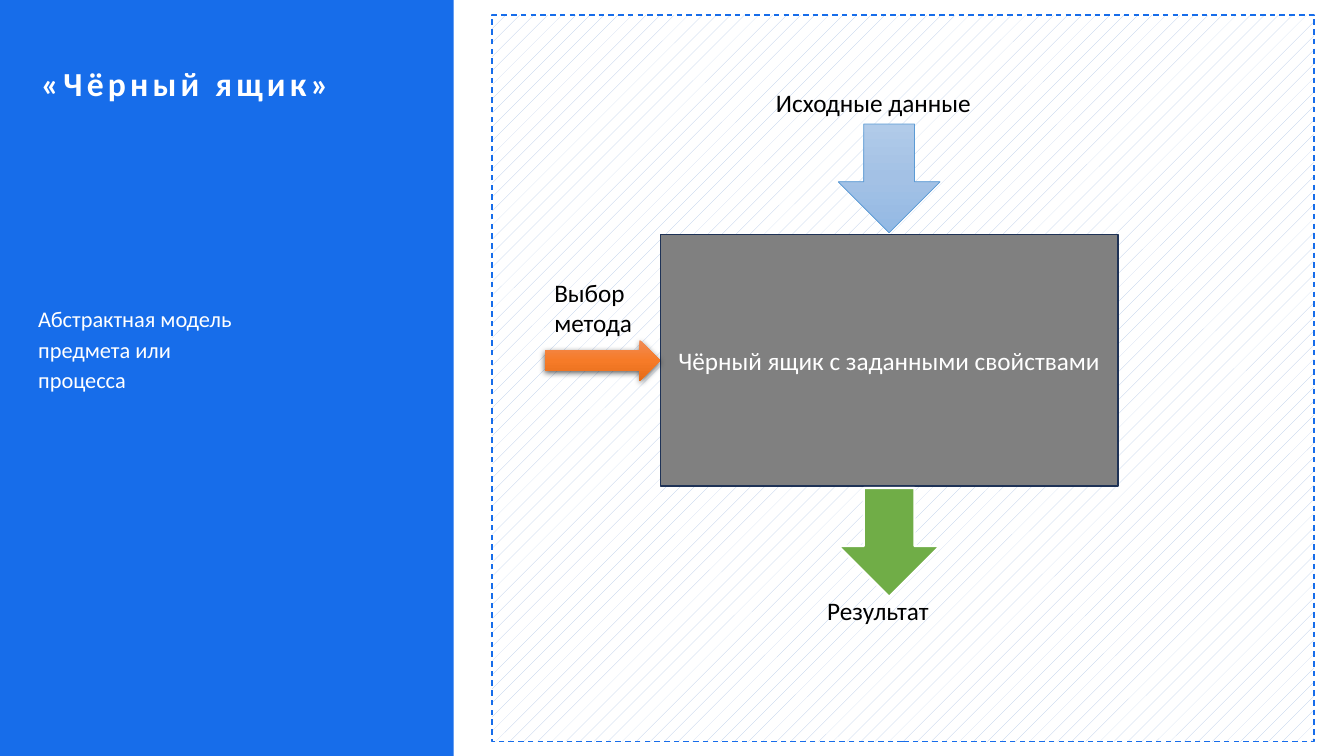
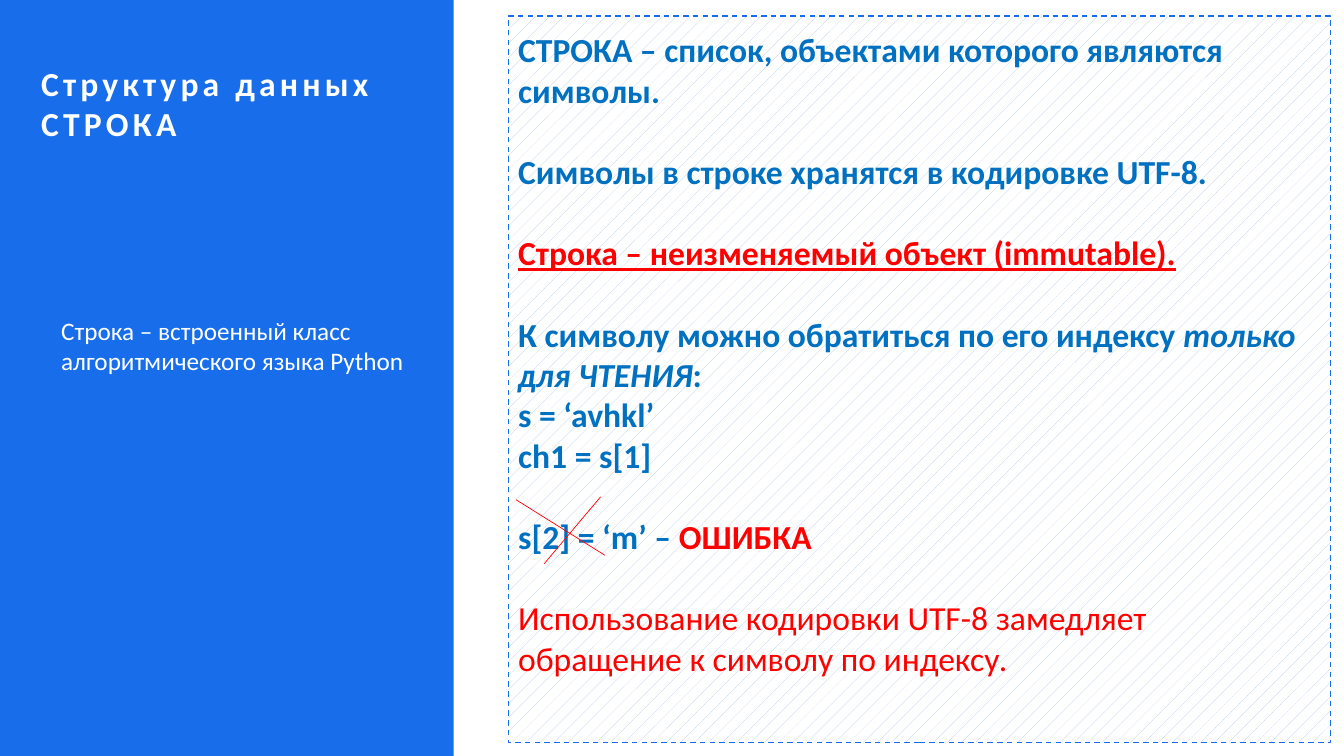
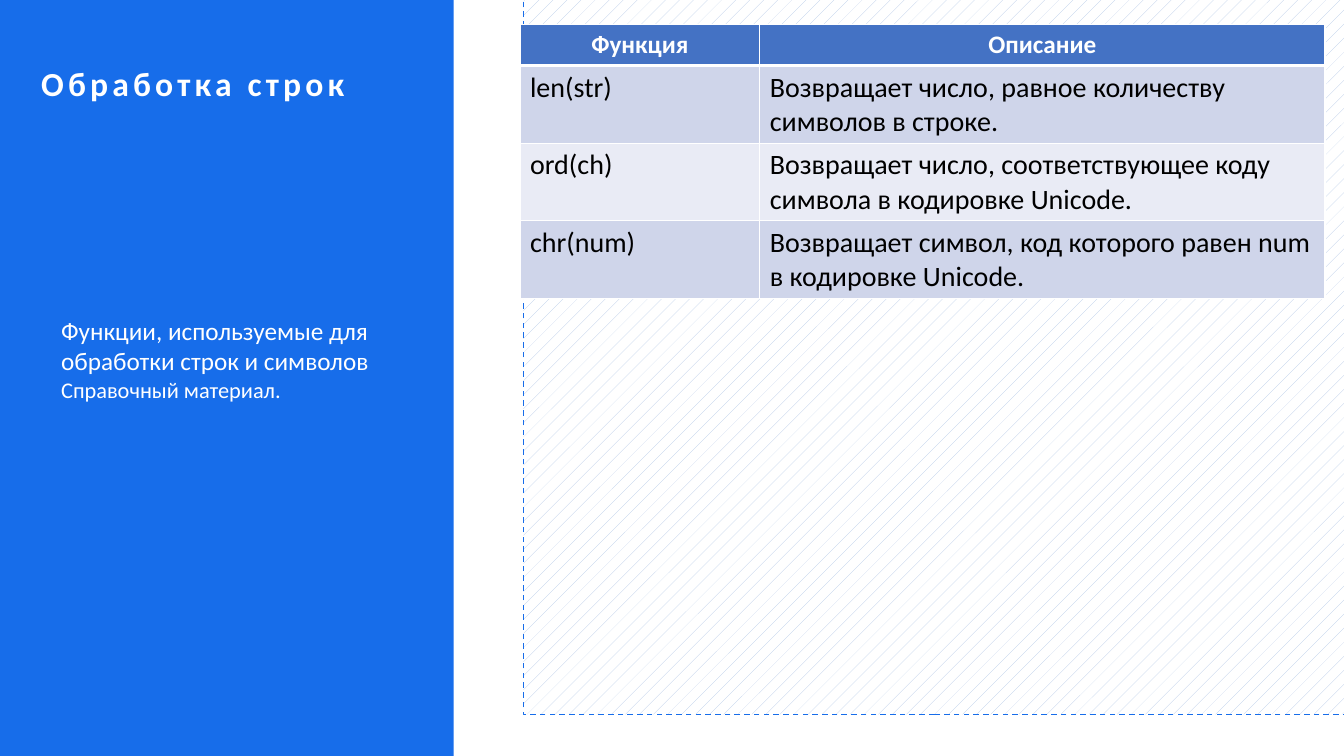
from dataclasses import dataclass
from typing import Optional, Sequence

from lxml.etree import SubElement
from pptx import Presentation
from pptx.dml.color import RGBColor
from pptx.enum.dml import MSO_LINE, MSO_PATTERN
from pptx.enum.shapes import MSO_CONNECTOR, MSO_SHAPE
from pptx.enum.text import MSO_ANCHOR, MSO_AUTO_SIZE, PP_ALIGN
from pptx.oxml.ns import qn
from pptx.util import Inches, Pt

SLIDE_WIDTH = Inches(13.33)
SLIDE_HEIGHT = Inches(7.5)
COLUMNS = 32
ROWS = 18


@dataclass(frozen=True)
class Theme:
    font: str = "Calibri"
    title_size: float = 24
    body_size: float = 24
    cell_size: float = 20
    label_size: float = 18
    note_size: float = 16
    title_tracking: float = 3
    blank_line: float = 29.3
    white: str = "FFFFFF"
    black: str = "000000"
    accent: str = "176DEA"
    hatch: str = "B4C7E7"
    blue_text: str = "0070C0"
    red: str = "FF0000"
    box_fill: str = "808080"
    box_line: str = "1E3256"
    input_line: str = "5B9BD5"
    input_gradient: tuple = ("B1CBE9", "A3C1E5", "93B9E4")
    method_gradient: tuple = ("F18C57", "F67B28", "E56C19")
    result_fill: str = "70AD47"
    table_header: str = "4472C4"
    table_bands: tuple = ("CFD5EA", "E9EBF5")


THEME = Theme()


@dataclass(frozen=True)
class Box:
    """A rectangle measured in grid columns and rows."""
    left: float
    top: float
    width: float
    height: float

    @property
    def right(self) -> float:
        return self.left + self.width

    @property
    def bottom(self) -> float:
        return self.top + self.height

    @property
    def center(self) -> float:
        return self.left + self.width / 2

    @property
    def middle(self) -> float:
        return self.top + self.height / 2

    def lengths(self) -> tuple:
        return across(self.left), down(self.top), across(self.width), down(self.height)


@dataclass(frozen=True)
class Run:
    text: str
    size: float = THEME.label_size
    color: str = THEME.white
    bold: bool = False
    italic: bool = False
    underline: bool = False
    tracking: float = 0


@dataclass(frozen=True)
class Paragraph:
    runs: tuple
    space_before: float = 0
    line_spacing: Optional[float] = None
    align: PP_ALIGN = PP_ALIGN.LEFT


@dataclass(frozen=True)
class Label:
    box: Box
    text: str


def across(columns: float) -> int:
    return round(SLIDE_WIDTH * columns / COLUMNS)


def down(rows: float) -> int:
    return round(SLIDE_HEIGHT * rows / ROWS)


def rgb(color: str) -> RGBColor:
    return RGBColor.from_string(color)


def write(frame, paragraphs: Sequence[Paragraph]) -> None:
    frame.word_wrap = True
    for index, content in enumerate(paragraphs):
        paragraph = frame.add_paragraph() if index else frame.paragraphs[0]
        paragraph.alignment = content.align
        paragraph.space_before = Pt(content.space_before)
        if content.line_spacing:
            paragraph.line_spacing = content.line_spacing
        for part in content.runs:
            run = paragraph.add_run()
            run.text = part.text
            font = run.font
            font.name = THEME.font
            font.size = Pt(part.size)
            font.bold = part.bold
            font.italic = part.italic
            font.underline = part.underline
            font.color.rgb = rgb(part.color)
            if part.tracking:
                font._element.set("spc", str(round(part.tracking * 100)))


def clear_margins(frame) -> None:
    frame.margin_left = frame.margin_top = frame.margin_right = frame.margin_bottom = 0


def add_text(slide, box: Box, paragraphs: Sequence[Paragraph], margins: bool = True) -> None:
    frame = slide.shapes.add_textbox(*box.lengths()).text_frame
    if not margins:
        clear_margins(frame)
    write(frame, paragraphs)
    frame.auto_size = MSO_AUTO_SIZE.SHAPE_TO_FIT_TEXT


def add_figure(slide, kind: MSO_SHAPE, box: Box, fill: Optional[str] = None,
               line: Optional[str] = None, weight: float = 1):
    shape = slide.shapes.add_shape(kind, *box.lengths())
    shape.shadow.inherit = False
    if fill:
        shape.fill.solid()
        shape.fill.fore_color.rgb = rgb(fill)
    if line:
        shape.line.color.rgb = rgb(line)
        shape.line.width = Pt(weight)
    else:
        shape.line.fill.background()
    return shape


def fill_gradient(shape, colors: Sequence[str]) -> None:
    """Fill from top to bottom with evenly spaced colours."""
    shape.fill.gradient()
    shape.fill.gradient_angle = 270
    stops = shape.element.spPr.find(".//" + qn("a:gsLst"))
    for stop in list(stops):
        stops.remove(stop)
    for index, color in enumerate(colors):
        position = round(100000 * index / (len(colors) - 1))
        stop = SubElement(stops, qn("a:gs"), pos=str(position))
        SubElement(stop, qn("a:srgbClr"), val=color)


def add_drop_shadow(shape) -> None:
    effects = shape.element.spPr.find(qn("a:effectLst"))
    shadow = SubElement(effects, qn("a:outerShdw"), blurRad=str(Pt(4.5)),
                        dist=str(Pt(1.5)), dir="5400000", rotWithShape="0")
    color = SubElement(shadow, qn("a:srgbClr"), val=THEME.black)
    SubElement(color, qn("a:alpha"), val="63000")


def add_line(slide, start: tuple, end: tuple, color: str, weight: float) -> None:
    line = slide.shapes.add_connector(
        MSO_CONNECTOR.STRAIGHT, across(start[0]), down(start[1]), across(end[0]), down(end[1]))
    line.line.color.rgb = rgb(color)
    line.line.width = Pt(weight)
    SubElement(line.element.spPr, qn("a:effectLst"))


def add_base_slide(presentation, title: str, frame_left: float, frame_top: float,
                   title_lines: int = 1):
    """Add a slide with the side band, its title and the hatched content frame."""
    slide = presentation.slides.add_slide(presentation.slide_layouts[5])
    band = add_figure(slide, MSO_SHAPE.RECTANGLE, Box(0, 0, 10.8, ROWS), THEME.accent)

    heading = slide.shapes.title
    band.element.addnext(heading.element)
    heading.left, heading.top, heading.width, heading.height = Box(
        0.98, 1.49, 9.82, 0.97 * title_lines).lengths()
    frame = heading.text_frame
    clear_margins(frame)
    frame.vertical_anchor = MSO_ANCHOR.TOP
    frame.auto_size = MSO_AUTO_SIZE.SHAPE_TO_FIT_TEXT
    write(frame, [Paragraph((Run(title, THEME.title_size, bold=True,
                                 tracking=THEME.title_tracking),))])

    panel = add_figure(slide, MSO_SHAPE.RECTANGLE, Box(frame_left, frame_top, 19.58, 17.3),
                       line=THEME.accent)
    panel.fill.patterned()
    panel.fill.pattern = MSO_PATTERN.PERCENT_5
    panel.fill.fore_color.rgb = rgb(THEME.hatch)
    panel.fill.back_color.rgb = rgb(THEME.white)
    panel.line.dash_style = MSO_LINE.DASH
    return slide


def add_side_note(slide, paragraphs: Sequence[Paragraph]) -> None:
    add_text(slide, Box(1.22, 7.39, 9.05, 2.4), paragraphs)


def set_borders(cell, top: float, bottom: float) -> None:
    properties = cell._tc.get_or_add_tcPr()
    for side, weight in (("L", 1), ("R", 1), ("T", top), ("B", bottom)):
        border = SubElement(properties, qn("a:ln" + side), w=str(Pt(weight)))
        fill = SubElement(border, qn("a:solidFill"))
        SubElement(fill, qn("a:srgbClr"), val=THEME.white)


def add_function_table(slide, rows: Sequence[tuple]) -> None:
    widths = (5.71, 13.46)
    header_height, row_height = 0.98, 1.85
    box = Box(12.38, 0.58, sum(widths), header_height + row_height * (len(rows) - 1))
    table = slide.shapes.add_table(len(rows), len(widths), *box.lengths()).table
    for column, width in zip(table.columns, widths):
        column.width = across(width)
    for row_index, texts in enumerate(rows):
        header = row_index == 0
        table.rows[row_index].height = down(header_height if header else row_height)
        color = THEME.table_header if header else THEME.table_bands[(row_index - 1) % 2]
        for column_index, text in enumerate(texts):
            cell = table.cell(row_index, column_index)
            set_borders(cell, top=3 if row_index == 1 else 1, bottom=3 if header else 1)
            cell.fill.solid()
            cell.fill.fore_color.rgb = rgb(color)
            if header:
                content = Paragraph((Run(text, bold=True),), align=PP_ALIGN.CENTER)
            else:
                content = Paragraph((Run(text, THEME.cell_size, THEME.black),))
            write(cell.text_frame, [content])


def build_black_box(presentation) -> None:
    slide = add_base_slide(presentation, "«Чёрный ящик»", 11.71, 0.36)
    note = Run("Абстрактная модель предмета или процесса", THEME.note_size)
    add_text(slide, Box(0.91, 7.18, 5.06, 2.14),
             [Paragraph((note,), space_before=10, line_spacing=1.14)], margins=False)

    box = Box(15.72, 5.59, 10.9, 5.98)
    black_box = add_figure(slide, MSO_SHAPE.RECTANGLE, box, THEME.box_fill, THEME.box_line)
    black_box.text_frame.vertical_anchor = MSO_ANCHOR.MIDDLE
    write(black_box.text_frame, [Paragraph((Run("Чёрный ящик с заданными свойствами"),),
                                           align=PP_ALIGN.CENTER)])

    gap, width, height = 0.05, 2.42, 2.59
    left = box.center - width / 2
    input_arrow = add_figure(slide, MSO_SHAPE.DOWN_ARROW,
                             Box(left, box.top - gap - height, width, height),
                             line=THEME.input_line, weight=0.5)
    fill_gradient(input_arrow, THEME.input_gradient)
    add_figure(slide, MSO_SHAPE.DOWN_ARROW, Box(left, box.bottom + gap, width, height),
               THEME.result_fill, THEME.white, 1.5)

    length, thickness = 2.74, 0.98
    method_arrow = add_figure(slide, MSO_SHAPE.RIGHT_ARROW,
                              Box(box.left - length, box.middle - thickness / 2,
                                  length, thickness))
    fill_gradient(method_arrow, THEME.method_gradient)
    add_drop_shadow(method_arrow)

    labels = (
        Label(Box(18.24, 1.97, 5.86, 0.96), "Исходные данные"),
        Label(Box(19.46, 14.06, 3.43, 0.96), "Результат"),
        Label(Box(12.96, 6.48, 2.74, 1.7), "Выбор метода"),
    )
    for label in labels:
        add_text(slide, label.box, [Paragraph((Run(label.text, color=THEME.black),))])


def build_string_structure(presentation) -> None:
    slide = add_base_slide(presentation, "Структура данных СТРОКА", 12.1, 0.38, title_lines=2)
    add_side_note(slide, [
        Paragraph((Run("Строка – встроенный класс алгоритмического языка Python"),))])

    def body(text: str, color: str = THEME.blue_text, bold: bool = True,
             italic: bool = False, underline: bool = False) -> Run:
        return Run(text, THEME.body_size, color, bold, italic, underline)

    def spaced(*runs: Run) -> Paragraph:
        return Paragraph(runs, space_before=THEME.blank_line)

    add_text(slide, Box(12.1, 0.58, 19.51, 17.4), [
        Paragraph((body("СТРОКА – список, объектами которого являются символы."),)),
        spaced(body("Символы в строке хранятся в кодировке UTF-8.")),
        spaced(body("Строка – неизменяемый объект (immutable).", THEME.red, underline=True)),
        spaced(body("К символу можно обратиться по его индексу "),
               body("только для ЧТЕНИЯ", italic=True), body(":")),
        Paragraph((body("s = ‘avhkl’"),)),
        Paragraph((body("ch1 = s[1]"),)),
        spaced(body("s[2] = ‘m’ – "), body("ОШИБКА", THEME.red)),
        spaced(body("Использование кодировки UTF-8 замедляет обращение к символу по индексу.",
                    THEME.red, bold=False)),
    ])
    for start, end in (((12.29, 11.9), (14.4, 13.22)), ((14.3, 11.83), (12.96, 13.42))):
        add_line(slide, start, end, THEME.red, 0.5)


def build_string_functions(presentation) -> None:
    slide = add_base_slide(presentation, "Обработка строк", 12.46, -0.29)
    add_side_note(slide, [
        Paragraph((Run("Функции, используемые для обработки строк и символов"),)),
        Paragraph((Run("Справочный материал.", THEME.note_size),)),
    ])
    add_function_table(slide, (
        ("Функция", "Описание"),
        ("len(str)", "Возвращает число, равное количеству символов в строке."),
        ("ord(ch)", "Возвращает число, соответствующее коду символа в кодировке Unicode."),
        ("chr(num)", "Возвращает символ, код которого равен num в кодировке Unicode."),
    ))


def main() -> None:
    presentation = Presentation()
    presentation.slide_width = SLIDE_WIDTH
    presentation.slide_height = SLIDE_HEIGHT
    build_black_box(presentation)
    build_string_structure(presentation)
    build_string_functions(presentation)
    presentation.save("out.pptx")


if __name__ == "__main__":
    main()
